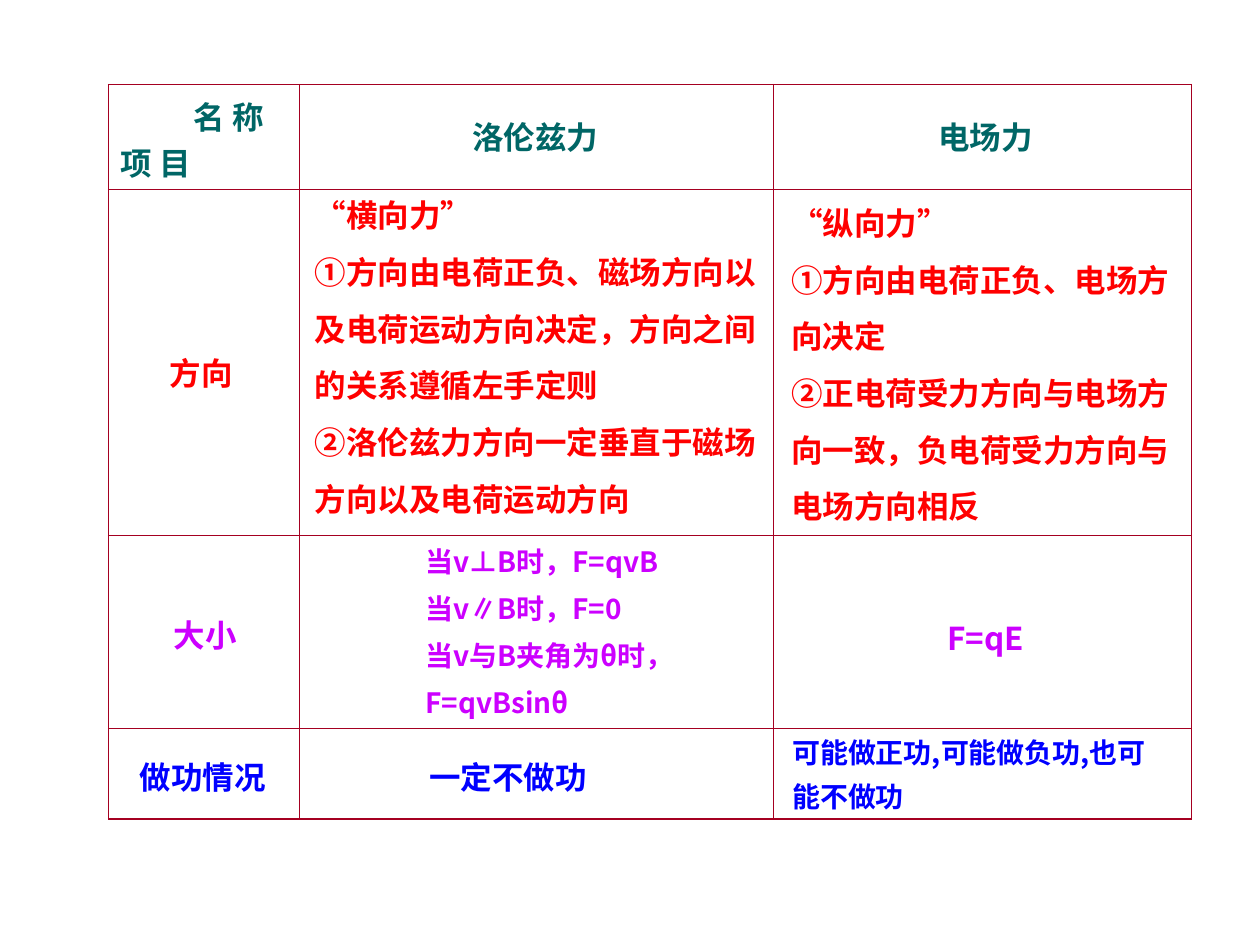
from lxml import etree
from pptx import Presentation
from pptx import util as u
from pptx.dml.color import RGBColor
from pptx.enum import text as t
from pptx.oxml import ns

FONT = "Noto Sans CJK SC"
COLORS = {
    "border": "A50021",
    "heading": "006666",
    "direction": "FF0000",
    "magnitude": "CC00FF",
    "work": "0000FF",
}
COLUMN_WIDTHS = (1.52, 3.76, 3.32)
ROW_HEIGHTS = (0.83, 2.75, 1.53, 0.72)
OUTER_LINE, INNER_LINE = 0.75, 0.45

# color key, (left, top, width, height), lines, changes to the usual format
LABELS = [
    ("heading", (1.44, 0.58, 1.28, 0.55), ["名 称"], {}),
    ("heading", (0.86, 0.94, 1.28, 0.55), ["项 目"], {}),
    ("heading", (3.65, 0.74, 1.75, 0.55), ["洛伦兹力"], {}),
    ("heading", (7.35, 0.74, 1.46, 0.55), ["电场力"], {}),
    ("direction", (1.25, 2.61, 1.46, 0.55), ["方向"], {}),
    ("direction", (2.4, 1.36, 4.43, 2.8), [
        "“横向力”",
        "①方向由电荷正负、磁场方向以",
        "及电荷运动方向决定，方向之间",
        "的关系遵循左手定则",
        "②洛伦兹力方向一定垂直于磁场",
        "方向以及电荷运动方向",
    ], {}),
    ("direction", (6.18, 1.42, 3.62, 2.8), [
        "“纵向力”",
        "①方向由电荷正负、电场方",
        "向决定",
        "②正电荷受力方向与电场方",
        "向一致，负电荷受力方向与",
        "电场方向相反",
    ], {}),
    ("magnitude", (1.28, 4.69, 1.19, 0.55), ["大小"], {}),
    ("magnitude", (3.28, 4.17, 3.1, 1.59), [
        "当v⊥B时，F=qvB",
        "当v∥B时，F=0",
        "当v与B夹角为θ时，",
        "F=qvBsinθ",
    ], {"size": 16, "spacing": 1.4}),
    ("magnitude", (7.42, 4.71, 1.53, 0.55), ["F=qE"], {}),
    ("work", (1.01, 5.82, 1.53, 0.55), ["做功情况"], {}),
    ("work", (3.31, 5.82, 2, 0.55), ["一定不做功"], {}),
    ("work", (6.19, 5.71, 3.6, 0.8), [
        "可能做正功,可能做负功,也可",
        "能不做功",
    ], {"size": 16, "spacing": 1.3}),
]


def set_borders(cell, widths):
    """Put the left, right, top and bottom lines ahead of the cell's fill."""
    properties = cell._tc.get_or_add_tcPr()
    for index, (side, width) in enumerate(zip("LRTB", widths)):
        line = etree.Element(ns.qn(f"a:ln{side}"), w=str(int(u.Pt(width))))
        fill = etree.SubElement(line, ns.qn("a:solidFill"))
        etree.SubElement(fill, ns.qn("a:srgbClr"), val=COLORS["border"])
        properties.insert(index, line)


def add_grid(slide):
    row_count, column_count = len(ROW_HEIGHTS), len(COLUMN_WIDTHS)
    table = slide.shapes.add_table(
        row_count, column_count, u.Inches(0.86), u.Inches(0.67),
        u.Inches(sum(COLUMN_WIDTHS)), u.Inches(sum(ROW_HEIGHTS))).table
    table.first_row = table.horz_banding = False
    for column, width in zip(table.columns, COLUMN_WIDTHS):
        column.width = u.Inches(width)
    for row, height in zip(table.rows, ROW_HEIGHTS):
        row.height = u.Inches(height)
    for r in range(row_count):
        for c in range(column_count):
            cell = table.cell(r, c)
            cell.fill.background()
            on_edge = (c == 0, c == column_count - 1, r == 0, r == row_count - 1)
            set_borders(cell, [OUTER_LINE if edge else INNER_LINE for edge in on_edge])


def add_label(slide, color, box, lines, size=18, spacing=1.5):
    frame = slide.shapes.add_textbox(*map(u.Inches, box)).text_frame
    frame.word_wrap = True
    frame.auto_size = t.MSO_AUTO_SIZE.SHAPE_TO_FIT_TEXT
    font_format = {"name": FONT, "size": u.Pt(size), "bold": True}
    for index, line in enumerate(lines):
        paragraph = frame.add_paragraph() if index else frame.paragraphs[0]
        paragraph.line_spacing = spacing
        run = paragraph.add_run()
        run.text = line
        for attribute, value in font_format.items():
            setattr(run.font, attribute, value)
        run.font.color.rgb = RGBColor.from_string(COLORS[color])
        etree.SubElement(run._r.get_or_add_rPr(), ns.qn("a:ea"), typeface=FONT)


def main():
    presentation = Presentation()
    presentation.slide_width = u.Inches(10)
    presentation.slide_height = u.Inches(7.5)
    slide = presentation.slides.add_slide(presentation.slide_layouts[6])
    add_grid(slide)
    for color, box, lines, changes in LABELS:
        add_label(slide, color, box, lines, **changes)
    presentation.save("out.pptx")


if __name__ == "__main__":
    main()
